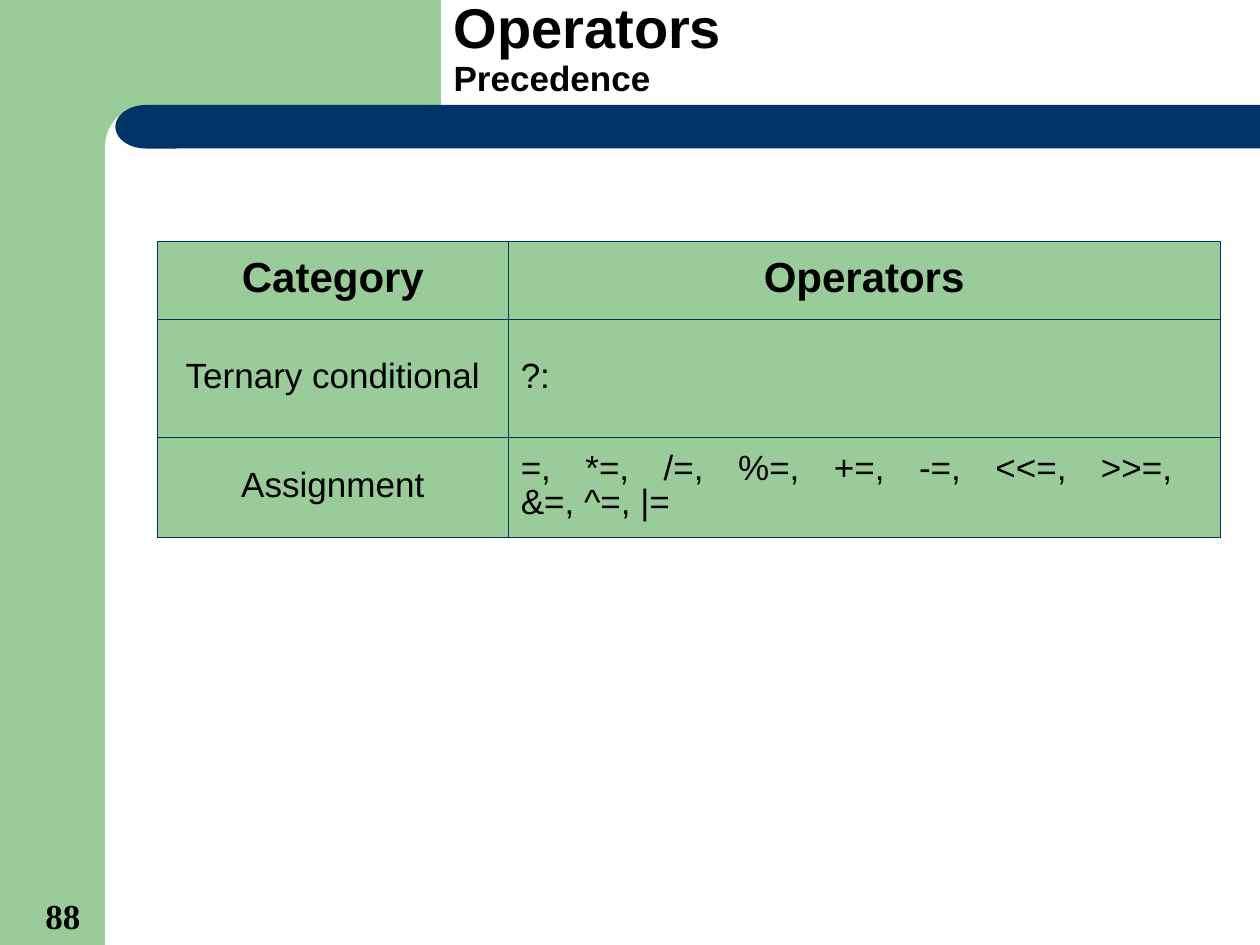
"""Build the operator precedence slide on a grid of twelfths of an inch."""
import pptx
import pptx.util
import pptx.dml.color
import pptx.enum.shapes
import pptx.enum.text
import pptx.oxml
import pptx.oxml.ns
import lxml.etree

COLORS = {"green": "99CC99", "navy": "003366", "white": "FFFFFF", "black": "000000"}
SHAPE = pptx.enum.shapes.MSO_SHAPE
ALIGN = pptx.enum.text.PP_ALIGN
ANCHOR = pptx.enum.text.MSO_ANCHOR

prs = pptx.Presentation()
prs.slide_width = pptx.util.Inches(10)
prs.slide_height = pptx.util.Inches(7.5)
s = prs.slides.add_slide(prs.slide_layouts[5])
unit = prs.slide_width / 120


def grid(*cells):
    return [round(n * unit) for n in cells]


def style(p, size, bold, name="Arial"):
    for r in p.runs:
        r.font.size = pptx.util.Pt(size)
        r.font.bold = bold
        r.font.name = name
        r.font.color.rgb = pptx.dml.color.RGBColor.from_string(COLORS["black"])


for kind, box, color in [
    (SHAPE.RECTANGLE, (0, 0, 10, 90), "green"),
    (SHAPE.RECTANGLE, (9, 0, 33, 14), "green"),
    (SHAPE.ROUNDED_RECTANGLE, (10, 10, 67, 8), "white"),
    (SHAPE.RECTANGLE, (16.6, 10, 103.4, 4.15), "navy"),
    (SHAPE.FLOWCHART_DELAY, (11, 10, 5.8, 4.15), "navy"),
]:
    sp = s.shapes.add_shape(kind, *grid(*box))
    sp.shadow.inherit = False
    sp.fill.solid()
    sp.fill.fore_color.rgb = pptx.dml.color.RGBColor.from_string(COLORS[color])
    sp.line.fill.background()
    if kind == SHAPE.ROUNDED_RECTANGLE:
        sp.adjustments[0] = 0.5
    if kind == SHAPE.FLOWCHART_DELAY:
        sp.element.spPr.find(pptx.oxml.ns.qn("a:xfrm")).set("flipH", "1")

title = s.shapes.title
title.left, title.top, title.width, title.height = grid(42, 2, 76, 8)
tf = title.text_frame
tf.text = "Operators\vPrecedence"
tf.auto_size = pptx.enum.text.MSO_AUTO_SIZE.NONE
tf.vertical_anchor = ANCHOR.BOTTOM
p = tf.paragraphs[0]
p.alignment = ALIGN.LEFT
p.line_spacing = 0.9
style(p, 32, True)
p.runs[1].font.size = pptx.util.Pt(20)

rows = [
    ("Category", "Operators"),
    ("Ternary conditional", "?:"),
    ("Assignment", "=, *=, /=, %=, +=, -=, <<=, >>=, \v&=, ^=, |="),
]
table = s.shapes.add_table(3, 2, *grid(15, 23, 101.2, 28.2)).table
for column, width in zip(table.columns, grid(33.4, 67.8)):
    column.width = width
for row, height in zip(table.rows, grid(7.4, 11.3, 9.5)):
    row.height = height

for i, texts in enumerate(rows):
    for j, text in enumerate(texts):
        cell = table.cell(i, j)
        cell.text_frame.text = text
        cell.vertical_anchor = ANCHOR.MIDDLE
        p = cell.text_frame.paragraphs[0]
        p.alignment = ALIGN.JUSTIFY if i and j else ALIGN.CENTER
        p.line_spacing = 0.85
        style(p, 20 if i else 24, i == 0)
        tcPr = cell._tc.get_or_add_tcPr()
        for side in ("lnL", "lnR", "lnT", "lnB"):
            ln = lxml.etree.SubElement(tcPr, pptx.oxml.ns.qn("a:" + side), w=str(pptx.util.Pt(0.45)))
            fill = lxml.etree.SubElement(ln, pptx.oxml.ns.qn("a:solidFill"))
            lxml.etree.SubElement(fill, pptx.oxml.ns.qn("a:srgbClr"), val=COLORS["navy"])
        cell.fill.solid()
        cell.fill.fore_color.rgb = pptx.dml.color.RGBColor.from_string(COLORS["green"])

number = s.shapes.add_textbox(*grid(1.1, 84.5, 9.8, 5.3))
tf = number.text_frame
tf.word_wrap = True
tf.vertical_anchor = ANCHOR.BOTTOM
tf.text = "88"
p = tf.paragraphs[0]
p.alignment = ALIGN.CENTER
style(p, 20, True, "Times New Roman")

prs.save("out.pptx")
